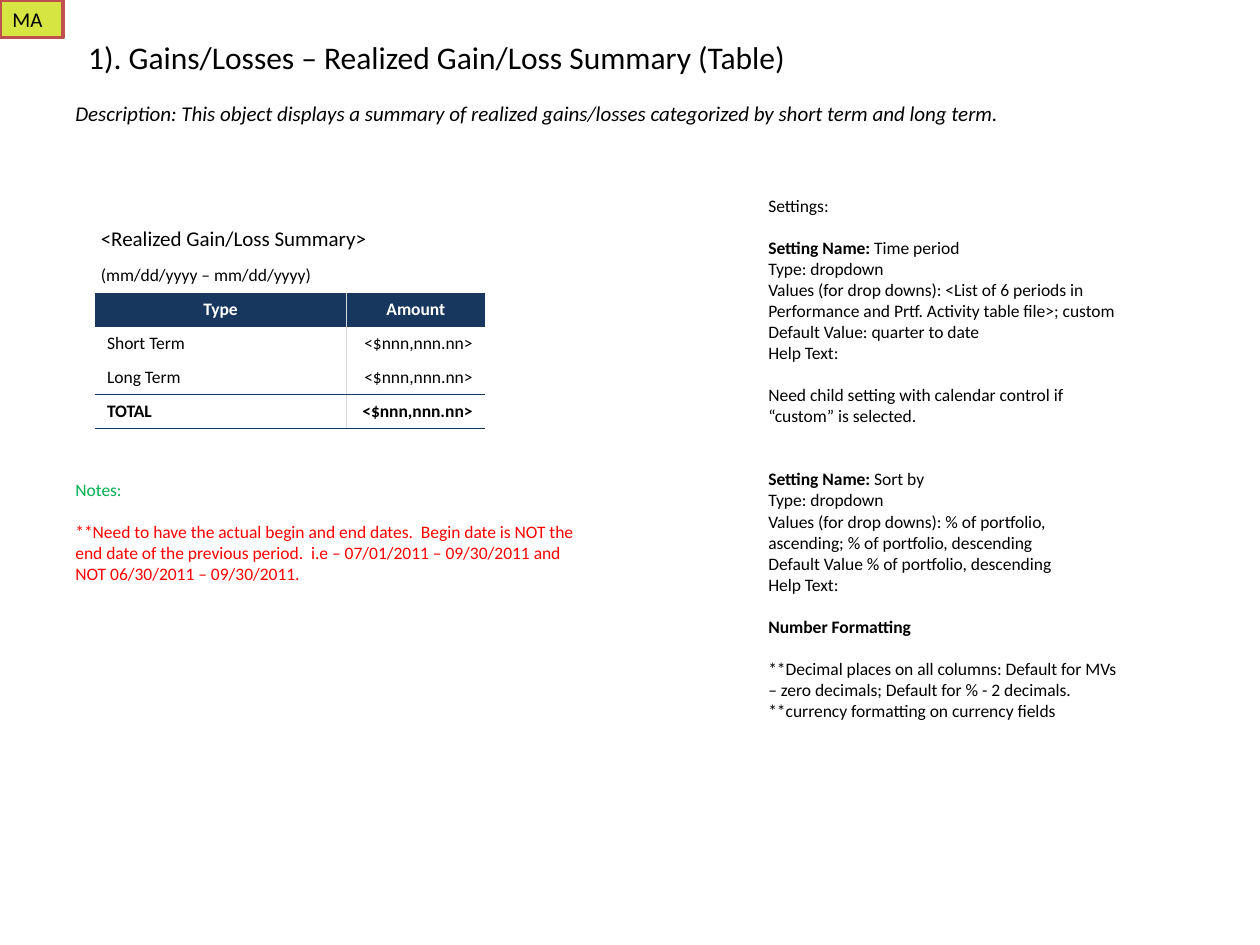
from dataclasses import dataclass

from lxml.etree import SubElement
from pptx import Presentation
from pptx.dml.color import RGBColor
from pptx.enum.shapes import MSO_SHAPE
from pptx.enum.text import MSO_ANCHOR, PP_ALIGN
from pptx.oxml import parse_xml
from pptx.oxml.ns import nsdecls, qn
from pptx.util import Pt


@dataclass(frozen=True)
class Theme:
    font: str = "Calibri"
    black: str = "000000"
    white: str = "FFFFFF"
    navy: str = "17375E"
    grid: str = "D9D9D9"
    green: str = "00B050"
    red: str = "FF0000"
    badge_fill: str = "D6E542"
    badge_line: str = "C0504D"
    title_size: int = 18
    lead_size: int = 12
    body_size: int = 10
    blank_line: int = 12
    table_rule: float = 0.25
    no_table_style: str = "{2D5ABB26-0587-4C30-8999-92F81FD0307C}"


THEME = Theme()

TITLE = "1). Gains/Losses – Realized Gain/Loss Summary (Table)"
DESCRIPTION = ("Description: This object displays a summary of realized gains/losses "
               "categorized by short term and long term.")
BADGE = "MA"

CAPTIONS = [("<Realized Gain/Loss Summary>", THEME.lead_size),
            ("(mm/dd/yyyy – mm/dd/yyyy)", THEME.body_size)]
SUMMARY_ROWS = [("Type", "Amount"),
                ("Short Term", "<$nnn,nnn.nn>"),
                ("Long Term", "<$nnn,nnn.nn>"),
                ("TOTAL", "<$nnn,nnn.nn>")]
COLUMN_WIDTHS = [144, 79.2]
ROW_HEIGHTS = [21.6] + [19.4] * 5

SETTINGS = [
    (0, "", "Settings:"),
    (1, "Setting Name:", " Time period"),
    (0, "", "Type: dropdown"),
    (0, "", "Values (for drop downs): <List of 6 periods in Performance and "
            "Prtf. Activity table file>; custom"),
    (0, "", "Default Value: quarter to date"),
    (0, "", "Help Text:"),
    (1, "", "Need child setting with calendar control if “custom” is selected."),
    (2, "Setting Name:", " Sort by"),
    (0, "", "Type: dropdown"),
    (0, "", "Values (for drop downs): % of portfolio, ascending; "
            "% of portfolio, descending"),
    (0, "", "Default Value % of portfolio, descending"),
    (0, "", "Help Text:"),
    (1, "Number Formatting", ""),
    (1, "", "**Decimal places on all columns: Default for MVs – zero decimals; "
            "Default for % - 2 decimals."),
    (0, "", "**currency formatting on currency fields"),
]
NOTES = [
    (0, "", "Notes:", THEME.green),
    (1, "", "**Need to have the actual begin and end dates.  Begin date is NOT the "
            "end date of the previous period.  i.e – 07/01/2011 – 09/30/2011 and "
            "NOT 06/30/2011 – 09/30/2011.", THEME.red),
]


def color(value):
    return RGBColor.from_string(value)


def format_run(run, size, hue=THEME.black, bold=False, italic=False):
    font = run.font
    font.name, font.size, font.bold, font.italic = THEME.font, Pt(size), bold, italic
    font.color.rgb = color(hue)


def set_text(text_frame, text, size, hue=THEME.black, bold=False, italic=False,
             align=PP_ALIGN.LEFT):
    text_frame.text = text
    paragraph = text_frame.paragraphs[0]
    paragraph.alignment = align
    for run in paragraph.runs:
        format_run(run, size, hue, bold, italic)


def fill_paragraphs(text_frame, lines):
    for index, (blanks, lead, text, *hue) in enumerate(lines):
        paragraph = text_frame.paragraphs[0] if index == 0 else text_frame.add_paragraph()
        paragraph.alignment = PP_ALIGN.LEFT
        if blanks:
            paragraph.space_before = Pt(blanks * THEME.blank_line)
        for part, bold in ((lead, True), (text, False)):
            if part:
                run = paragraph.add_run()
                run.text = part
                format_run(run, THEME.body_size, *hue, bold=bold)


def add_text_box(slide, box, anchor=MSO_ANCHOR.TOP):
    text_frame = slide.shapes.add_textbox(*map(Pt, box)).text_frame
    text_frame.word_wrap = True
    text_frame.vertical_anchor = anchor
    return text_frame


def add_rectangle(slide, box, fill, line=None):
    shape = slide.shapes.add_shape(MSO_SHAPE.RECTANGLE, *map(Pt, box))
    shape.shadow.inherit = False
    shape.fill.solid()
    shape.fill.fore_color.rgb = color(fill)
    if line:
        shape.line.color.rgb = color(line)
        shape.line.width = Pt(2)
    else:
        shape.line.fill.background()
    shape.text_frame.word_wrap = True
    shape.text_frame.vertical_anchor = MSO_ANCHOR.TOP
    return shape.text_frame


def set_borders(cell, borders):
    properties = cell._tc.get_or_add_tcPr()
    sides = [side for side in "LRTB" if side in borders]
    for index, side in enumerate(sides):
        properties.insert(index, parse_xml(
            f'<a:ln{side} {nsdecls("a")} w="{Pt(THEME.table_rule)}"><a:solidFill>'
            f'<a:srgbClr val="{borders[side]}"/></a:solidFill></a:ln{side}>'))


def add_summary_table(slide, left, top):
    table = slide.shapes.add_table(
        len(ROW_HEIGHTS), len(COLUMN_WIDTHS), Pt(left), Pt(top),
        Pt(sum(COLUMN_WIDTHS)), Pt(sum(ROW_HEIGHTS))).table
    table.first_row = table.horz_banding = False
    table._tbl.tblPr.find(qn("a:tableStyleId")).text = THEME.no_table_style
    for column, width in zip(table.columns, COLUMN_WIDTHS):
        column.width = Pt(width)
    for row, height in zip(table.rows, ROW_HEIGHTS):
        row.height = Pt(height)

    for index, (text, size) in enumerate(CAPTIONS):
        cell, covered = table.cell(index, 0), table.cell(index, 1)
        cell.merge(covered)
        cell.fill.background()
        cell.margin_left = Pt(3.6)
        cell.vertical_anchor = MSO_ANCHOR.BOTTOM
        set_text(cell.text_frame, text, size)
        SubElement(covered.text_frame.paragraphs[0]._p, qn("a:endParaRPr"),
                   sz=str(THEME.body_size * 100))

    last = len(SUMMARY_ROWS) - 1
    for index, values in enumerate(SUMMARY_ROWS):
        header, total = index == 0, index == last
        for column, text in enumerate(values):
            cell = table.cell(len(CAPTIONS) + index, column)
            cell.fill.solid()
            cell.fill.fore_color.rgb = color(THEME.navy if header else THEME.white)
            cell.vertical_anchor = MSO_ANCHOR.MIDDLE
            align = PP_ALIGN.CENTER if header else (PP_ALIGN.LEFT, PP_ALIGN.RIGHT)[column]
            set_text(cell.text_frame, text, THEME.body_size,
                     THEME.white if header else THEME.black,
                     bold=header or total, align=align)
            borders = {"RL"[column]: THEME.grid}
            if total:
                borders["T"] = THEME.navy
            if index >= last - 1:
                borders["B"] = THEME.navy
            set_borders(cell, borders)


def main():
    presentation = Presentation()
    presentation.slide_width, presentation.slide_height = Pt(720), Pt(540)
    slide = presentation.slides.add_slide(presentation.slide_layouts[5])

    title = slide.shapes.title
    title.left, title.top, title.width, title.height = map(Pt, (43.2, 18, 414.7, 28.8))
    title.text_frame.word_wrap = False
    title.text_frame.vertical_anchor = MSO_ANCHOR.TOP
    set_text(title.text_frame, TITLE, THEME.title_size)

    add_summary_table(slide, 54, 126)
    fill_paragraphs(add_rectangle(slide, (432, 108, 216, 344), THEME.white), SETTINGS)
    set_text(add_text_box(slide, (36, 54, 612, 21.6), MSO_ANCHOR.MIDDLE),
             DESCRIPTION, THEME.lead_size, italic=True)
    set_text(add_rectangle(slide, (0, 0, 36, 21.6), THEME.badge_fill, THEME.badge_line),
             BADGE, THEME.lead_size)
    fill_paragraphs(add_text_box(slide, (36, 270, 306, 103.7)), NOTES)

    presentation.save("out.pptx")


if __name__ == "__main__":
    main()
